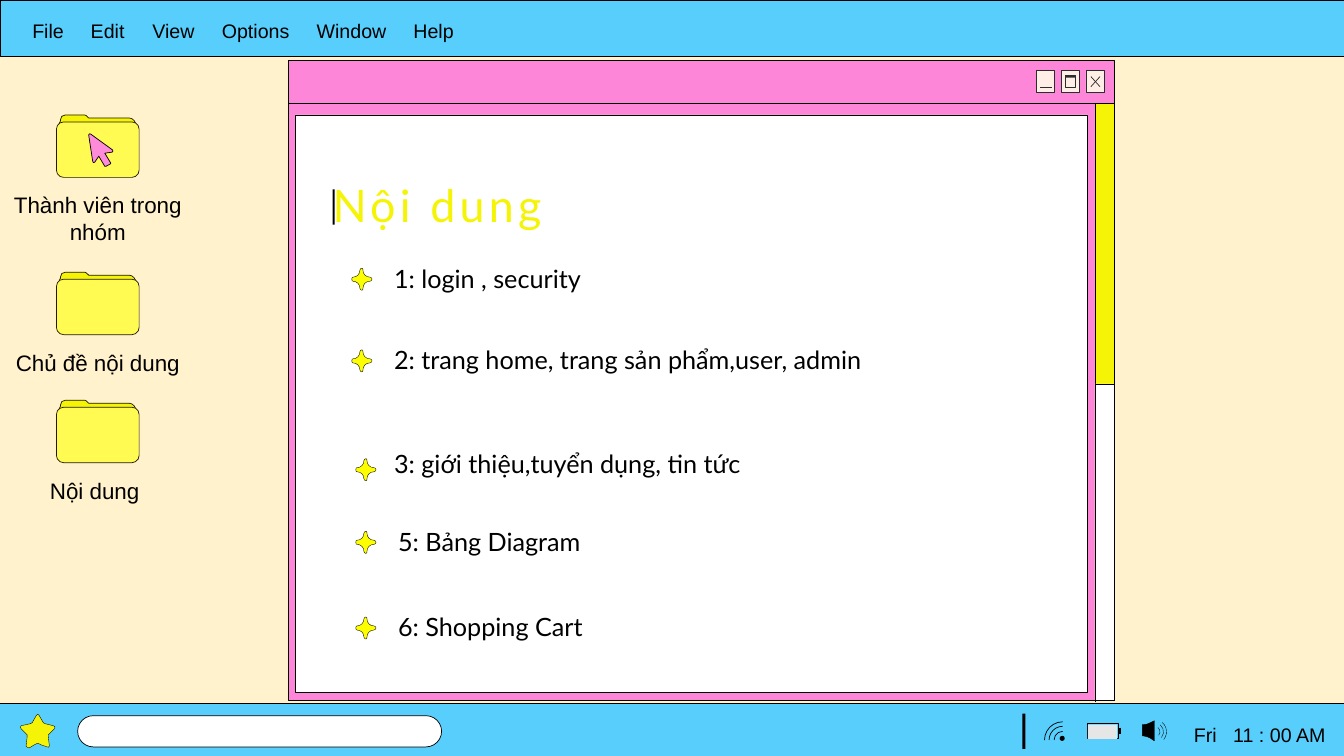
from dataclasses import dataclass

from lxml import etree
from pptx import Presentation
from pptx.dml.color import RGBColor
from pptx.enum.shapes import MSO_CONNECTOR, MSO_SHAPE
from pptx.enum.text import MSO_AUTO_SIZE, PP_ALIGN
from pptx.oxml.ns import qn
from pptx.util import Inches, Pt

RECT = MSO_SHAPE.RECTANGLE
ROUND = MSO_SHAPE.ROUNDED_RECTANGLE
OVAL = MSO_SHAPE.OVAL
ARC = MSO_SHAPE.ARC
STRAIGHT = MSO_CONNECTOR.STRAIGHT
LEFT = PP_ALIGN.LEFT
CENTER = PP_ALIGN.CENTER
GROW = MSO_AUTO_SIZE.SHAPE_TO_FIT_TEXT


@dataclass(frozen=True)
class Theme:
    cream: str = "FFF2CC"
    sky: str = "58CEFC"
    pink: str = "FD86D8"
    cursor_pink: str = "FE8ADA"
    yellow: str = "F5F406"
    folder_front: str = "FFFB53"
    sparkle: str = "FDFE00"
    button: str = "FFEEE6"
    battery: str = "E7E6E6"
    folder_edge: str = "211900"
    button_edge: str = "292D2D"
    white: str = "FFFFFF"
    black: str = "000000"
    ui_font: str = "Arial"
    body_font: str = "Lato"
    title_size: int = 32
    body_size: int = 18
    label_size: int = 16
    bar_size: int = 14
    thin: float = 0.5
    hairline: float = 0.25


FOLDER_BACK = [
    (0.07, 0), (0.26, 0), (0.27, 0, 0.28, 0.01, 0.29, 0.02), (0.3, 0.03),
    (0.7, 0.03), (0.74, 0.03, 0.77, 0.07, 0.77, 0.11), (0.77, 0.51),
    (0.77, 0.55, 0.74, 0.58, 0.7, 0.58), (0.07, 0.58),
    (0.03, 0.58, 0, 0.55, 0, 0.51), (0, 0.11),
    (0, 0.1, 0, 0.09, 0.01, 0.08), (0.02, 0.06), (0.02, 0.05),
    (0.02, 0.02, 0.04, 0, 0.07, 0)]
SPARKLE = [
    (0.01, 0.13), (0.05, 0.13, 0.08, 0.16, 0.08, 0.2),
    (0.08, 0.21, 0.09, 0.22, 0.1, 0.22), (0.11, 0.22, 0.11, 0.21, 0.11, 0.2),
    (0.11, 0.16, 0.14, 0.13, 0.18, 0.13), (0.19, 0.13, 0.2, 0.12, 0.2, 0.11),
    (0.2, 0.1, 0.19, 0.09, 0.18, 0.09), (0.14, 0.09, 0.11, 0.06, 0.11, 0.02),
    (0.11, 0.01, 0.11, 0, 0.1, 0), (0.09, 0, 0.08, 0.01, 0.08, 0.02),
    (0.08, 0.06, 0.05, 0.09, 0.01, 0.09), (0, 0.09, 0, 0.1, 0, 0.11),
    (0, 0.12, 0, 0.13, 0.01, 0.13)]
CURSOR = [
    (1.12, 1.49), (0.9, 1.33), (0.89, 1.32, 0.88, 1.33, 0.88, 1.34),
    (0.92, 1.6), (0.92, 1.61, 0.93, 1.62, 0.94, 1.61), (0.98, 1.55),
    (1.04, 1.65), (1.05, 1.65), (1.09, 1.63),
    (1.1, 1.62, 1.1, 1.62, 1.1, 1.62), (1.04, 1.52), (1.11, 1.51),
    (1.12, 1.51, 1.12, 1.5, 1.12, 1.49)]
STAR = [
    (0.53, 7.2), (0.45, 7.18), (0.44, 7.18, 0.44, 7.18, 0.43, 7.17),
    (0.39, 7.1), (0.38, 7.08, 0.37, 7.08, 0.36, 7.1), (0.32, 7.17),
    (0.31, 7.18, 0.31, 7.18, 0.3, 7.18), (0.21, 7.2),
    (0.2, 7.21, 0.2, 7.22, 0.21, 7.23), (0.27, 7.29),
    (0.27, 7.3, 0.27, 7.3, 0.27, 7.31), (0.26, 7.4),
    (0.26, 7.41, 0.28, 7.42, 0.29, 7.42), (0.34, 7.39),
    (0.38, 7.37, 0.37, 7.37, 0.41, 7.39), (0.47, 7.41),
    (0.48, 7.42, 0.49, 7.41, 0.49, 7.4), (0.48, 7.31),
    (0.48, 7.3, 0.48, 7.3, 0.48, 7.29), (0.54, 7.23),
    (0.55, 7.22, 0.55, 7.2, 0.53, 7.2)]
SPEAKER = [
    (11.45, 7.35), (11.41, 7.33, 11.41, 7.31, 11.33, 7.3), (11.33, 7.19),
    (11.4, 7.19, 11.41, 7.16, 11.45, 7.15), (11.45, 7.35)]


class Desktop:
    def __init__(self, slide, theme):
        self.slide = slide
        self.shapes = slide.shapes
        self.theme = theme
        slide.background.fill.solid()
        slide.background.fill.fore_color.rgb = RGBColor.from_string(theme.cream)

    def group(self, draw, *details):
        self.shapes = self.slide.shapes.add_group_shape().shapes
        draw(*details)
        self.shapes = self.slide.shapes

    def paint(self, shape, fill, line, width):
        shape.shadow.inherit = False
        if fill:
            shape.fill.solid()
            shape.fill.fore_color.rgb = RGBColor.from_string(fill)
        else:
            shape.fill.background()
        if line:
            shape.line.color.rgb = RGBColor.from_string(line)
            shape.line.width = Pt(width)
        else:
            shape.line.fill.background()

    def box(self, x, y, w, h, fill=None, line=Theme.black, kind=RECT,
            width=Theme.thin, corner=None, turn=0):
        shape = self.shapes.add_shape(kind, Inches(x), Inches(y), Inches(w), Inches(h))
        self.paint(shape, fill, line, width)
        shape.rotation = turn
        if corner is not None:
            shape.adjustments[0] = corner

    def outline(self, segments, fill, x=0, y=0, line=Theme.black, width=Theme.hairline):
        start, *ends = [(Inches(x + s[-2]), Inches(y + s[-1])) for s in segments]
        builder = self.shapes.build_freeform(*start)
        builder.add_line_segments(ends, close=True)
        shape = builder.convert_to_shape()
        self.paint(shape, fill, line, width)
        edges = list(shape.element.iter(qn("a:lnTo")))
        for edge, segment in zip(edges, segments[1:]):
            if len(segment) == 6:
                edge.tag = qn("a:cubicBezTo")
                for place, at in enumerate((0, 2)):
                    handle = etree.Element(
                        qn("a:pt"), x=str(Inches(x + segment[at]) - shape.left),
                        y=str(Inches(y + segment[at + 1]) - shape.top))
                    edge.insert(place, handle)

    def line(self, x1, y1, x2, y2, color=Theme.black, width=Theme.thin):
        rule = self.shapes.add_connector(
            STRAIGHT, Inches(x1), Inches(y1), Inches(x2), Inches(y2))
        rule.line.color.rgb = RGBColor.from_string(color)
        rule.line.width = Pt(width)
        etree.SubElement(rule.element.spPr, qn("a:effectLst"))

    def waves(self, x, y, sizes, turn, width):
        for size in sizes:
            self.box(x - size / 2, y - size / 2, size, size, kind=ARC, turn=turn, width=width)

    def text(self, words, x, y, w, h, size, font=Theme.ui_font, color=Theme.black,
             align=LEFT, inset=0.1, tabs=(), spacing=0, edge=None):
        frame = self.shapes.add_textbox(
            Inches(x), Inches(y), Inches(w), Inches(h)).text_frame
        frame.word_wrap = True
        frame.auto_size = GROW
        frame.margin_left = frame.margin_right = Inches(inset)
        paragraph = frame.paragraphs[0]
        paragraph.alignment = align
        if tabs:
            stops = etree.SubElement(paragraph._p.get_or_add_pPr(), qn("a:tabLst"))
            for stop in tabs:
                etree.SubElement(stops, qn("a:tab"), pos=str(Inches(stop)), algn="l")
        run = paragraph.add_run()
        run.text = words
        run.font.name = font
        run.font.size = Pt(size)
        run.font.color.rgb = RGBColor.from_string(color)
        properties = run.font._element
        if spacing:
            properties.set("spc", str(spacing * 100))
        if edge:
            stroke = etree.Element(qn("a:ln"), w=str(Pt(Theme.hairline)))
            solid = etree.SubElement(stroke, qn("a:solidFill"))
            etree.SubElement(solid, qn("a:srgbClr"), val=edge)
            properties.insert(0, stroke)

    def folder(self, label, y, label_height):
        t = self.theme
        self.text(label, 0, y + 0.71, 1.94, label_height, t.label_size, align=CENTER)
        self.outline(FOLDER_BACK, t.yellow, 0.58, y, t.folder_edge, t.thin)
        self.box(0.56, y + 0.07, 0.82, 0.55, t.folder_front, t.folder_edge, ROUND, corner=0.13)

    def topic(self, words, sparkle_x, sparkle_y, text_x, text_y):
        t = self.theme
        self.outline(SPARKLE, t.sparkle, sparkle_x, sparkle_y)
        self.text(words, text_x, text_y, 6.56, 0.4, t.body_size, t.body_font)

    def window(self):
        t = self.theme
        self.box(2.86, 0.6, 8.19, 6.35, t.pink, kind=ROUND, corner=0)
        self.line(2.86, 1.03, 11.05, 1.03)
        self.line(10.86, 6.96, 10.86, 1.03)
        self.box(2.93, 1.14, 7.86, 5.73, t.white)
        self.box(10.86, 1.03, 0.19, 2.78, t.yellow)
        self.box(10.86, 3.81, 0.19, 3.14, t.white)
        for button_x in (10.28, 10.53, 10.77):
            self.box(button_x, 0.7, 0.18, 0.22, t.button, t.button_edge)
        self.line(10.32, 0.87, 10.43, 0.87, t.button_edge)
        self.box(10.57, 0.75, 0.1, 0.12, line=t.button_edge)
        self.box(10.57, 0.75, 0.1, 0.02, t.button_edge, None)
        self.line(10.82, 0.76, 10.91, 0.86, t.button_edge)
        self.line(10.91, 0.76, 10.82, 0.86, t.button_edge)

    def menu_bar(self):
        self.box(0, 0, 13.33, 0.56, self.theme.sky)
        self.text("File\tEdit\tView\tOptions\tWindow\tHelp", 0.32, 0.14, 4.59, 0.34,
                  self.theme.bar_size, inset=0, tabs=(0.58, 1.19, 1.88, 2.82, 3.78))

    def taskbar(self):
        t = self.theme
        self.box(-0.01, 6.98, 13.36, 0.56, t.sky, kind=ROUND, corner=0)
        self.outline(STAR, t.yellow)
        self.box(0.77, 7.1, 3.61, 0.31, t.white, kind=ROUND, corner=0.5)
        self.text("Fri\t11 : 00 AM", 11.84, 7.12, 1.48, 0.34, t.bar_size, inset=0, tabs=(0.39,))
        self.waves(10.54, 7.34, (0.17, 0.27, 0.36), 269.6, t.thin)
        self.box(10.51, 7.3, 0.05, 0.05, t.black, None, OVAL)
        self.outline(SPEAKER, t.black)
        self.waves(11.45, 7.26, (0.11, 0.18, 0.24), 39.5, t.hairline)
        self.box(10.78, 7.18, 0.31, 0.15)
        self.box(10.79, 7.19, 0.29, 0.14, t.battery, None)
        self.line(11.11, 7.22, 11.11, 7.28, width=1.5)
        self.box(10.14, 7.08, 0.03, 0.35, t.black, None)


def main():
    deck = Presentation()
    deck.slide_width, deck.slide_height = Inches(13.33), Inches(7.5)
    theme = Theme()
    desktop = Desktop(deck.slides.add_slide(deck.slide_layouts[6]), theme)
    for folder in (("Thành viên trong nhóm", 1.14, 0.64),
                   ("Chủ đề nội dung", 2.7, 0.37), ("Nội dung ", 3.97, 0.37)):
        desktop.group(desktop.folder, *folder)
    desktop.group(desktop.window)
    desktop.group(desktop.menu_bar)
    desktop.outline(CURSOR, theme.cursor_pink, width=theme.thin)
    desktop.group(desktop.taskbar)
    desktop.text("Nội dung", 3.2, 1.71, 5.7, 0.64, theme.title_size, theme.body_font,
                 theme.yellow, spacing=3, edge=theme.black)
    desktop.box(3.3, 1.88, 0.02, 0.35, theme.black, None)
    for topic in (("1: login , security", 3.49, 2.66, 3.81, 2.56),
                  ("2: trang home, trang sản phẩm,user, admin", 3.49, 3.47, 3.81, 3.37),
                  ("3: giới thiệu,tuyển dụng, tin tức", 3.53, 4.55, 3.81, 4.4),
                  ("5: Bảng Diagram", 3.53, 5.27, 3.85, 5.17),
                  ("6: Shopping Cart", 3.53, 6.12, 3.85, 6.02)):
        desktop.group(desktop.topic, *topic)
    deck.save("out.pptx")


if __name__ == "__main__":
    main()
